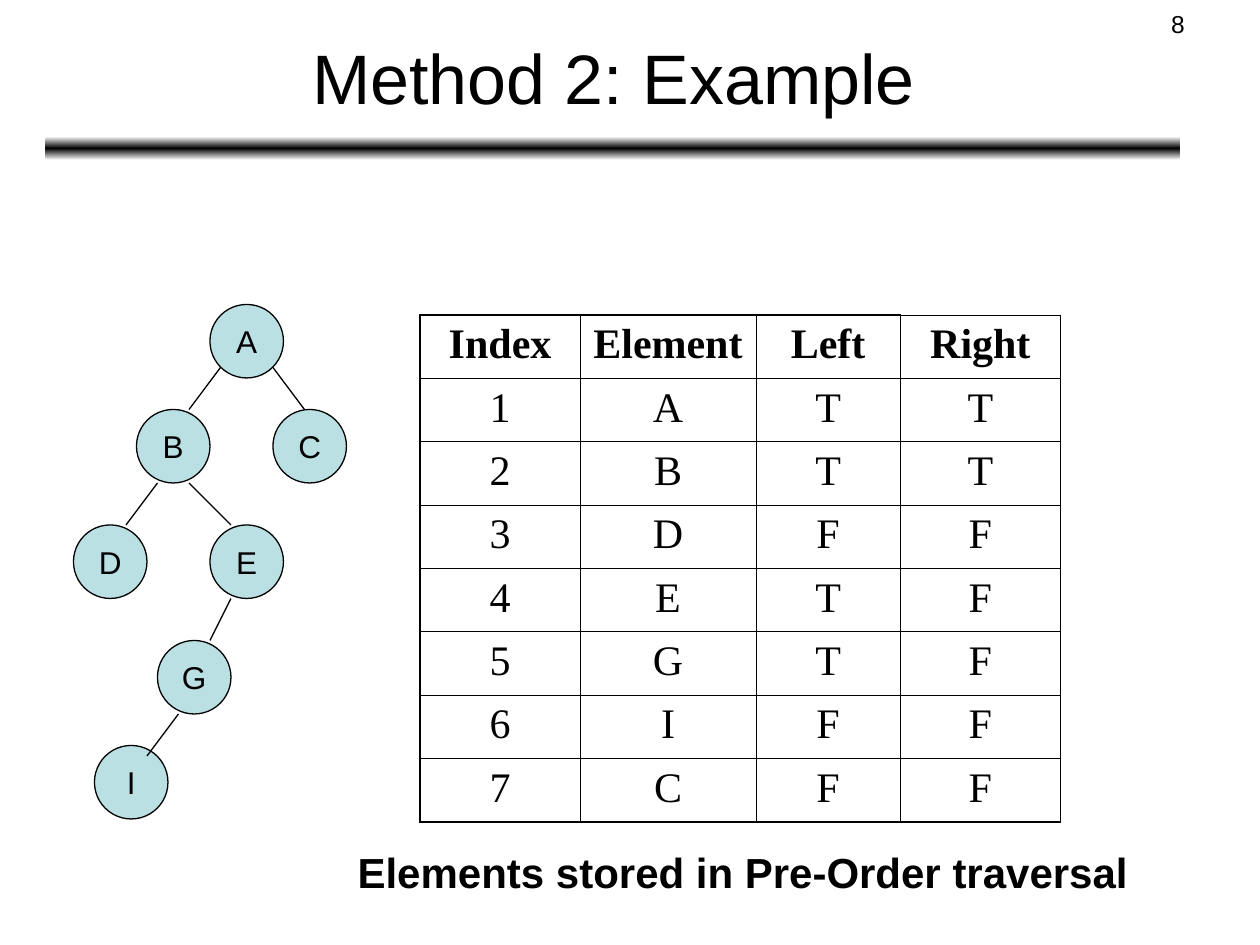
import copy

import pptx
import pptx.dml.color
import pptx.enum.shapes
import pptx.enum.text
import pptx.oxml
import pptx.oxml.ns
import pptx.util

Pt = pptx.util.Pt
RGBColor = pptx.dml.color.RGBColor
Align = pptx.enum.text.PP_ALIGN
Anchor = pptx.enum.text.MSO_ANCHOR
ShapeType = pptx.enum.shapes.MSO_SHAPE
qn = pptx.oxml.ns.qn

BLACK = RGBColor(0, 0, 0)
WHITE = RGBColor(255, 255, 255)
NODE_FILL = RGBColor(0xBB, 0xE0, 0xE3)

NODE_SIZE = 42
# Left and top of each node within the tree's box
NODES = {
    "A": (78, 0), "D": (0, 126), "B": (36, 60), "C": (114, 60),
    "E": (78, 126), "G": (48, 192), "I": (12, 252),
}
# Parent, point within the parent, child, point within the child
EDGES = [
    ("A", (6, 36), "B", (30, 0)),
    ("A", (36, 36), "C", (18, 0)),
    ("B", (12, 42), "D", (30, 0)),
    ("B", (30, 42), "E", (12, 0)),
    ("E", (12, 42), "G", (30, 0)),
    ("G", (12, 42), "I", (30, 6)),
]

HEADER = ["Index", "Element", "Left", "Right"]
PREORDER = [("A", "T", "T"), ("B", "T", "T"), ("D", "F", "F"), ("E", "T", "F"),
            ("G", "T", "F"), ("I", "F", "F"), ("C", "F", "F")]
COLUMN_WIDTHS = [91.5, 100.5, 82.5, 91.5]
THIN, THICK = 0.45, 1.08


def points(*values):
    return [Pt(value) for value in values]


def write(frame, text, size, alignment, name="Arial", bold=False):
    paragraph = frame.paragraphs[0]
    paragraph.text = text
    paragraph.alignment = alignment
    font_format = {"size": Pt(size), "name": name, "bold": bold}
    for attribute, value in font_format.items():
        setattr(paragraph.font, attribute, value)
    paragraph.font.color.rgb = BLACK


def add_title(slide, box, text):
    title = slide.shapes.title
    for attribute, value in zip(("left", "top", "width", "height"), points(*box)):
        setattr(title, attribute, value)
    title.text_frame.vertical_anchor = Anchor.MIDDLE
    write(title.text_frame, text, 40, Align.CENTER)


def add_rule(slide, box):
    """Bar under the title that fades from black to white above and below."""
    bar = slide.shapes.add_shape(ShapeType.ROUNDED_RECTANGLE, *points(*box))
    bar.shadow.inherit = False
    bar.line.fill.background()
    bar.fill.gradient()
    bar.fill.gradient_angle = 270
    for stop, color in zip(bar.fill.gradient_stops, (WHITE, BLACK)):
        stop.color.rgb = color
    bar.fill.gradient_stops[1].position = 0.5
    stops = bar._element.spPr.find(".//" + qn("a:gsLst"))
    last_stop = copy.deepcopy(stops[0])
    last_stop.set("pos", "100000")
    stops.append(last_stop)


def add_text(slide, box, text, size, alignment, bold=False):
    frame = slide.shapes.add_textbox(*points(*box)).text_frame
    frame.word_wrap = True
    write(frame, text, size, alignment, bold=bold)


def add_tree(slide, left, top):
    for label, (x, y) in NODES.items():
        node = slide.shapes.add_shape(
            ShapeType.OVAL, *points(left + x, top + y, NODE_SIZE, NODE_SIZE))
        node.shadow.inherit = False
        node.fill.solid()
        node.fill.fore_color.rgb = NODE_FILL
        node.line.color.rgb = BLACK
        node.line.width = Pt(0.75)
        node.text_frame.word_wrap = False
        node.text_frame.vertical_anchor = Anchor.MIDDLE
        write(node.text_frame, label, 18, Align.CENTER)

    for parent, start, child, end in EDGES:
        ends = [origin + node + offset
                for name, point in ((parent, start), (child, end))
                for origin, node, offset in zip((left, top), NODES[name], point)]
        edge = slide.shapes.add_connector(
            pptx.enum.shapes.MSO_CONNECTOR.STRAIGHT, *points(*ends))
        edge.line.color.rgb = BLACK
        edge.line.width = Pt(0.75)
        edge._element.spPr.append(pptx.oxml.parse_xml(
            f"<a:effectLst {pptx.oxml.ns.nsdecls('a')}/>"))


def set_border(cell, side, width):
    cell._tc.get_or_add_tcPr().append(pptx.oxml.parse_xml(
        f'<a:ln{side} {pptx.oxml.ns.nsdecls("a")} w="{int(Pt(width))}">'
        f'<a:solidFill><a:srgbClr val="{BLACK}"/></a:solidFill></a:ln{side}>'))


def add_preorder_table(slide, box):
    rows = [HEADER] + [(str(index), *row) for index, row in enumerate(PREORDER, 1)]
    last_row, last_column = len(rows) - 1, len(HEADER) - 1
    table = slide.shapes.add_table(len(rows), len(HEADER), *points(*box)).table
    table.first_row = table.horz_banding = False
    for column, width in zip(table.columns, COLUMN_WIDTHS):
        column.width = Pt(width)
    for row_number, row in enumerate(rows):
        for column_number, text in enumerate(row):
            cell = table.cell(row_number, column_number)
            is_thick = {
                "L": column_number == 0,
                "R": column_number == last_column,
                "T": row_number == 0 and column_number < last_column,
                "B": row_number == last_row,
            }
            for side, thick in is_thick.items():
                set_border(cell, side, THICK if thick else THIN)
            cell.fill.background()
            write(cell.text_frame, text, 24, Align.CENTER,
                  "Times New Roman", bold=row_number == 0)


def main():
    presentation = pptx.Presentation()
    presentation.slide_width, presentation.slide_height = points(720, 540)
    slide = presentation.slides.add_slide(presentation.slide_layouts[5])
    add_rule(slide, (26, 78, 648.5, 13.5))
    add_title(slide, (26.5, 8, 648, 71), "Method 2: Example")
    add_text(slide, (600, 1.5, 84, 26), "8", 14, Align.RIGHT)
    add_tree(slide, 42, 174)
    add_preorder_table(slide, (240, 180, 366, 289.6))
    add_text(slide, (197.3, 480, 462, 36), "Elements stored in Pre-Order traversal",
             24, Align.LEFT, bold=True)
    presentation.save("out.pptx")


if __name__ == "__main__":
    main()
